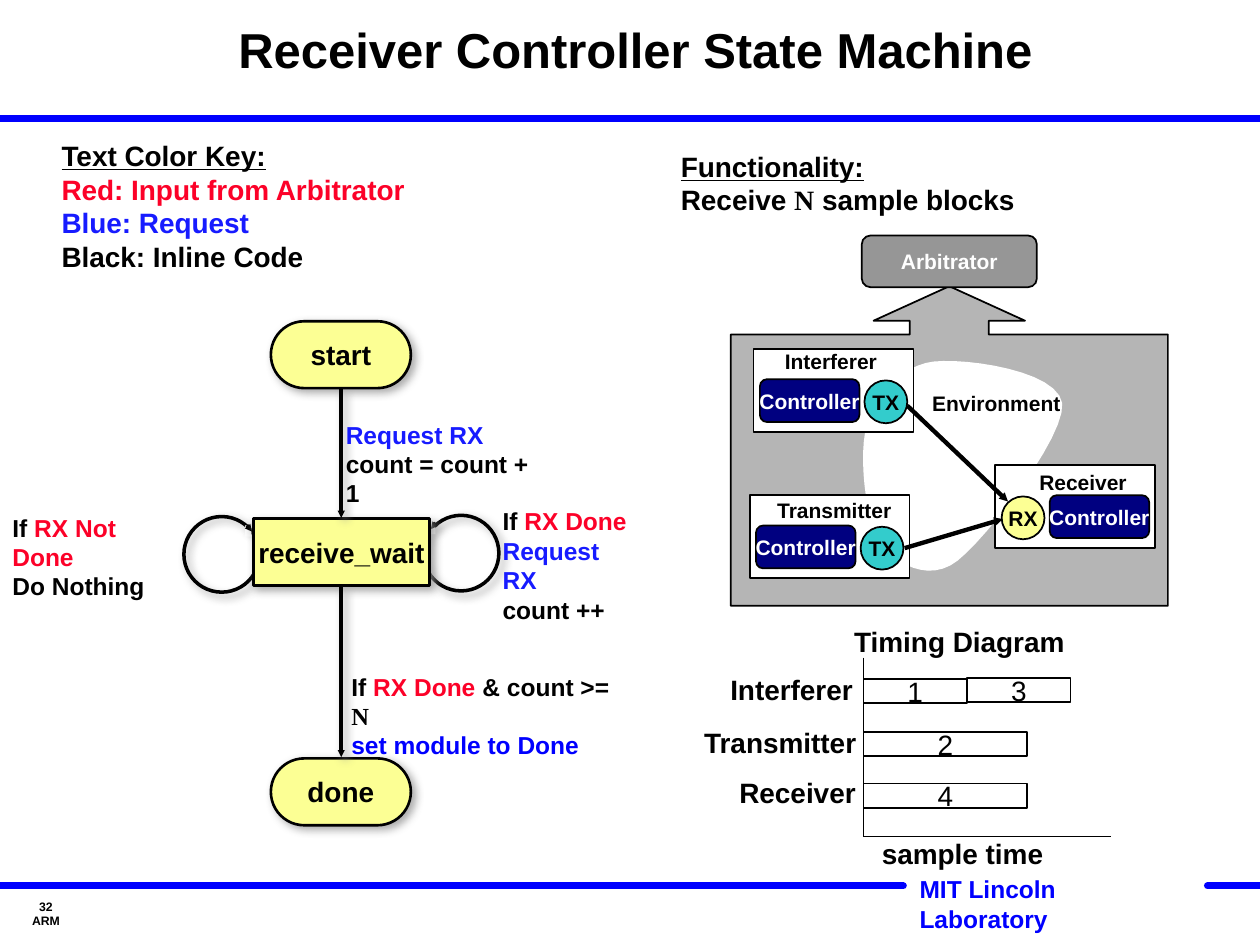
from dataclasses import dataclass
from typing import NamedTuple

from lxml.etree import SubElement
from pptx import Presentation
from pptx.dml.color import RGBColor
from pptx.enum.shapes import MSO_CONNECTOR, MSO_SHAPE
from pptx.enum.text import MSO_ANCHOR, PP_ALIGN
from pptx.oxml.ns import qn
from pptx.util import Pt


@dataclass(frozen=True)
class Theme:
    sans: str = "Arial"
    serif: str = "Times New Roman"
    black: str = "000000"
    white: str = "FFFFFF"
    rule: str = "0000FF"
    red: str = "FC0128"
    blue: str = "171BFF"
    yellow: str = "FCFF94"
    teal: str = "33CCCC"
    navy: str = "000080"
    grey: str = "969696"
    light_grey: str = "B5B5B5"
    shadow: str = "919191"
    title: float = 28
    heading: float = 16
    body: float = 14
    label: float = 12
    footer: float = 7


THEME = Theme()


class Run(NamedTuple):
    text: str
    colour: str = THEME.black
    font: str = THEME.sans
    underline: bool = False


def rgb(colour):
    return RGBColor.from_string(colour)


def fill_text(shape, paragraphs, size, bold=True, centred=False, middle=False, wrap=False):
    """Write paragraphs (lists of Run) into a shape or text box."""
    frame = shape.text_frame
    frame.word_wrap = wrap
    frame.vertical_anchor = MSO_ANCHOR.MIDDLE if middle else MSO_ANCHOR.TOP
    for index, runs in enumerate(paragraphs):
        paragraph = frame.add_paragraph() if index else frame.paragraphs[0]
        paragraph.alignment = PP_ALIGN.CENTER if centred else PP_ALIGN.LEFT
        first = runs[0]
        paragraph.font.size, paragraph.font.bold = Pt(size), bold
        paragraph.font.name, paragraph.font.underline = first.font, first.underline
        paragraph.font.color.rgb = rgb(first.colour)
        for item in runs:
            run = paragraph.add_run()
            run.text = item.text
            if item.colour != first.colour:
                run.font.color.rgb = rgb(item.colour)
            if item.font != first.font:
                run.font.name = item.font


def add_text(slide, left, top, width, height, paragraphs, size, **options):
    box = slide.shapes.add_textbox(Pt(left), Pt(top), Pt(width), Pt(height))
    fill_text(box, paragraphs, size, **options)
    return box


def add_label(slide, left, top, width, text, size):
    add_text(slide, left, top, width, size * 1.7, [[Run(text)]], size)


def add_shadow(shape):
    properties = shape._element.spPr
    for old in properties.findall(qn("a:effectLst")):
        properties.remove(old)
    effects = SubElement(properties, qn("a:effectLst"))
    outer = SubElement(effects, qn("a:outerShdw"), blurRad=str(Pt(5)), dist=str(Pt(3)),
                       dir="2700000", algn="ctr", rotWithShape="0")
    colour = SubElement(outer, qn("a:srgbClr"), val=THEME.shadow)
    SubElement(colour, qn("a:alpha"), val="75000")


def style(shape, fill, line_width, shadow=False):
    shape.shadow.inherit = False
    if fill:
        shape.fill.solid()
        shape.fill.fore_color.rgb = rgb(fill)
    else:
        shape.fill.background()
    if line_width:
        shape.line.color.rgb = rgb(THEME.black)
        shape.line.width = Pt(line_width)
    else:
        shape.line.fill.background()
    if shadow:
        add_shadow(shape)


def add_shape(slide, kind, left, top, width, height, fill=None, line_width=1, shadow=False,
              text=None, size=THEME.label, colour=THEME.black, bold=True, adjustments=()):
    shape = slide.shapes.add_shape(kind, Pt(left), Pt(top), Pt(width), Pt(height))
    for index, value in enumerate(adjustments):
        shape.adjustments[index] = value
    style(shape, fill, line_width, shadow)
    if text:
        fill_text(shape, [[Run(text, colour)]], size, bold, centred=True, middle=True)
    return shape


def add_line(slide, start, end, width, colour=THEME.black, arrow=False, shadow=False, cap=None):
    line = slide.shapes.add_connector(MSO_CONNECTOR.STRAIGHT, *map(Pt, start + end))
    line.line.color.rgb = rgb(colour)
    line.line.width = Pt(width)
    outline = line.line._get_or_add_ln()
    if cap:
        outline.set("cap", cap)
    if arrow:
        SubElement(outline, qn("a:tailEnd"), type="triangle", w="sm", len="sm")
    if shadow:
        add_shadow(line)
    else:
        SubElement(line._element.spPr, qn("a:effectLst"))


def add_loop(slide, left, top, notch, tip):
    """Self-transition: a circle, a gap in it, and an arrowhead from notch to tip."""
    add_shape(slide, MSO_SHAPE.OVAL, left, top, 43.2, 43.2, line_width=2, shadow=True)
    add_shape(slide, MSO_SHAPE.RECTANGLE, min(notch[0], tip[0]) - 1, notch[1], 3.6, 6.5,
              THEME.white, line_width=0)
    add_line(slide, notch, tip, 2, arrow=True, shadow=True)


def add_blob(slide, start, curves, steps=12):
    """Closed outline through cubic curves, each given as two controls and an end."""
    points, current = [], start
    for first, second, end in curves:
        for step in range(1, steps + 1):
            t = step / steps
            weights = ((1 - t) ** 3, 3 * t * (1 - t) ** 2, 3 * t * t * (1 - t), t ** 3)
            corners = (current, first, second, end)
            points.append(tuple(Pt(sum(w * c[axis] for w, c in zip(weights, corners)))
                                for axis in (0, 1)))
        current = end
    builder = slide.shapes.build_freeform(*map(Pt, start))
    builder.add_line_segments(points, close=True)
    style(builder.convert_to_shape(), THEME.white, 0)


def add_device(slide, left, top, name, name_at, name_width, radio, fill, radio_x, controller_x):
    add_shape(slide, MSO_SHAPE.RECTANGLE, left, top, 91.4, 47.5, THEME.white)
    add_shape(slide, MSO_SHAPE.ROUNDED_RECTANGLE, left + controller_x, top + 17.3, 56.9, 24.5,
              THEME.navy, text="Controller", colour=THEME.white)
    add_shape(slide, MSO_SHAPE.OVAL, left + radio_x, top + 18, 24.5, 24.5, fill, text=radio)
    add_label(slide, *name_at, name_width, name, THEME.label)


def add_frame(slide):
    add_line(slide, (0, 67.5), (720, 67.5), 4, THEME.rule)
    add_line(slide, (0, 506.2), (516.2, 506.2), 4, THEME.rule, cap="rnd")
    add_line(slide, (690, 506.2), (720, 506.2), 4, THEME.rule, cap="rnd")
    add_text(slide, 518.4, 496, 158, 24, [[Run("MIT Lincoln Laboratory", THEME.rule)]],
             THEME.body, wrap=True)
    add_text(slide, 0, 504, 52.6, 36, [[Run("32")], [Run("ARM")]], THEME.footer,
             centred=True, middle=True)
    title = add_text(slide, 84, 0, 558, 60, [[Run("Receiver Controller State Machine")]],
                     THEME.title, centred=True, middle=True, wrap=True)
    title.text_frame.paragraphs[0].line_spacing = Pt(30)


def add_state_machine(slide):
    add_loop(slide, 105.1, 295.2, (141.1, 300.2), (144, 303.8))
    add_loop(slide, 241.9, 294.5, (249.1, 298.8), (246.2, 302.4))
    state = dict(fill=THEME.yellow, line_width=1.5, shadow=True, size=THEME.heading)
    for name, top in (("start", 183.6), ("done", 433.4)):
        add_shape(slide, MSO_SHAPE.ROUNDED_RECTANGLE, 154.8, top, 80, 38.2, text=name,
                  adjustments=[0.5], **state)
    add_shape(slide, MSO_SHAPE.RECTANGLE, 144.7, 296.4, 100.8, 38.2, text="receive_wait", **state)
    for top, bottom in ((222.5, 295.9), (335.5, 432.7)):
        add_line(slide, (195, top), (195, bottom), 2, arrow=True, shadow=True)
    # Transition notes
    add_text(slide, 280.1, 285.8, 92.9, 57.6,
             [[Run("If"), Run(" RX Done", THEME.red)], [Run("Request RX", THEME.blue)],
              [Run("count ++")]], THEME.body)
    add_text(slide, 0, 289.4, 112.3, 41,
             [[Run("If"), Run(" RX Not Done", THEME.red)], [Run("Do Nothing")]], THEME.body)
    add_text(slide, 190.5, 236.2, 126, 41,
             [[Run("Request RX", THEME.blue)], [Run("count = count + 1")]],
             THEME.body, wrap=True)
    add_text(slide, 193.7, 380.2, 168, 41,
             [[Run("If "), Run("RX Done", THEME.red), Run(" & count >= "),
               Run("N", font=THEME.serif)], [Run("set module to Done", THEME.rule)]],
             THEME.body, wrap=True)


def add_headings(slide):
    add_text(slide, 28.1, 75.6, 211.7, 84.2,
             [[Run("Text Color Key:", underline=True)],
              [Run("Red: Input from Arbitrator", THEME.red)],
              [Run("Blue: Request", THEME.blue)], [Run("Black: Inline Code")]], THEME.heading)
    add_text(slide, 382, 81.7, 205.9, 46,
             [[Run("Functionality:", underline=True)],
              [Run("Receive "), Run("N", font=THEME.serif), Run(" sample blocks")]],
             THEME.heading)


def add_environment(slide):
    add_shape(slide, MSO_SHAPE.UP_ARROW_CALLOUT, 417.6, 163.6, 249.8, 182.6, THEME.light_grey,
              adjustments=[0.247, 0.237, 0.108, 0.849])
    add_blob(slide, (547.2, 320.4), [
        ((564.5, 306.7), (609.1, 249.1), (607, 230.4)),
        ((604.1, 211.7), (552.2, 204.5), (533.5, 206.6)),
        ((514.8, 208.8), (500.4, 226.1), (495.4, 242.6)),
        ((490.3, 259.9), (494.6, 296.6), (502.6, 309.6)),
        ((511.2, 321.8), (530.6, 333.4), (547.2, 320.4))])
    add_device(slide, 428.4, 283, "Transmitter", (437, 280.8), 80.6, "TX", THEME.teal, 63.4, 3.6)
    add_device(slide, 568.8, 265.7, "Receiver", (586.8, 265), 64.8, "RX", THEME.yellow, 3.6, 31)
    add_device(slide, 430.6, 199.4, "Interferer", (441.4, 195.8), 67.7, "TX", THEME.teal, 63.4, 3.6)
    add_label(slide, 525.6, 219.6, 87.8, "Environment", THEME.label)
    add_shape(slide, MSO_SHAPE.ROUNDED_RECTANGLE, 492.5, 134.6, 100, 29.5, THEME.grey,
              text="Arbitrator", colour=THEME.white)
    add_line(slide, (518.4, 231.8), (576, 286.6), 2.5, arrow=True)
    add_line(slide, (517, 313.2), (573.1, 296.6), 2.5, arrow=True)


def add_timing_diagram(slide):
    axis, base = 493.4, 478
    add_line(slide, (axis, 375.8), (axis, base), 1)
    add_line(slide, (axis, base), (635, base), 1)
    for text, left, top, width in (("1", axis, 387.9, 59.2), ("3", axis + 59.2, 387.4, 59.2),
                                   ("2", axis, 418.3, 93.6), ("4", axis, 447.8, 93.6)):
        add_shape(slide, MSO_SHAPE.RECTANGLE, left, top, width, 13.8, text=text,
                  size=THEME.heading, bold=False)
    for text, left, top, width in (
            ("Interferer", 410.2, 380.9, 85.7), ("Transmitter", 395.3, 411.1, 102.2),
            ("Receiver", 415.4, 439.9, 81.4), ("Timing Diagram", 481, 353.5, 135.4),
            ("sample time", 496.8, 474.5, 107.3)):
        add_label(slide, left, top, width, text, THEME.heading)


def main():
    presentation = Presentation()
    presentation.slide_width, presentation.slide_height = Pt(720), Pt(540)
    slide = presentation.slides.add_slide(presentation.slide_layouts[6])
    add_frame(slide)
    add_state_machine(slide)
    add_headings(slide)
    add_environment(slide)
    add_timing_diagram(slide)
    presentation.save("out.pptx")


if __name__ == "__main__":
    main()
